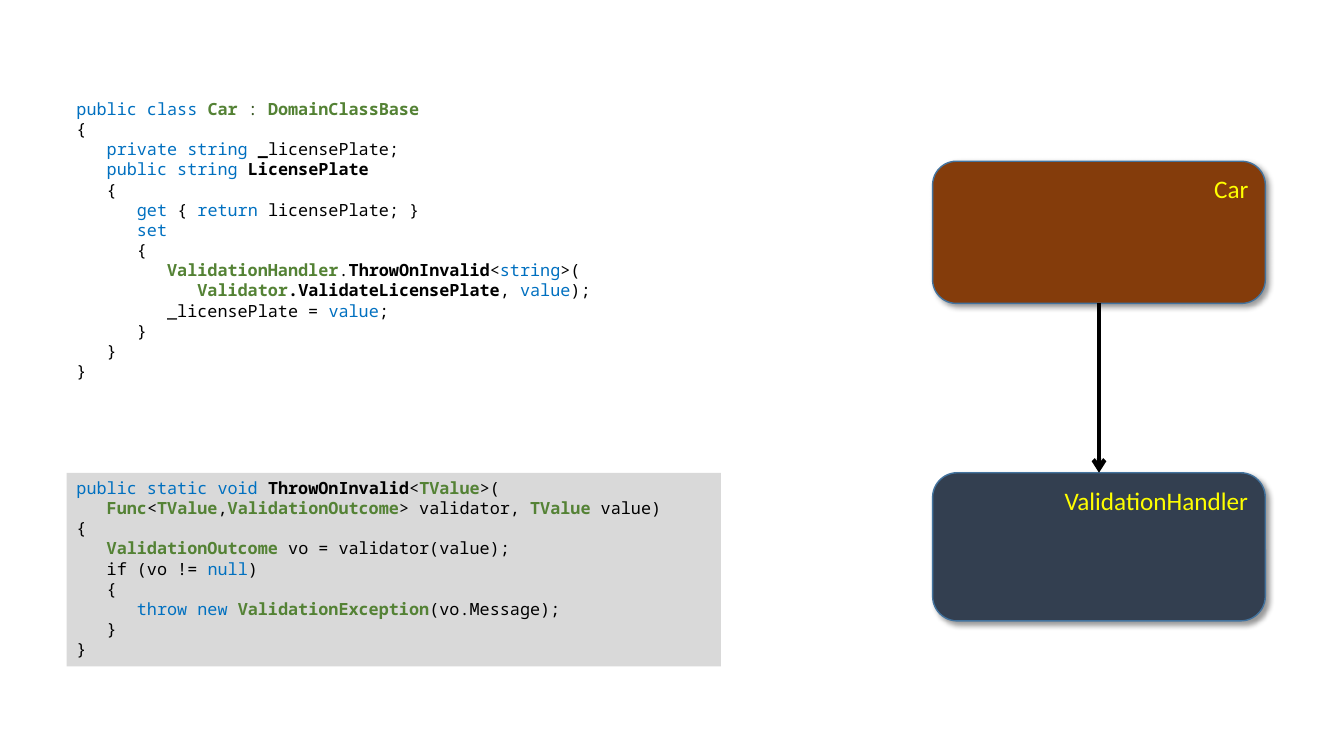
from lxml.etree import SubElement
from pptx import Presentation
from pptx.dml.color import RGBColor
from pptx.enum.shapes import MSO_CONNECTOR, MSO_SHAPE
from pptx.enum.text import MSO_ANCHOR, MSO_AUTO_SIZE, PP_ALIGN
from pptx.oxml.ns import qn
from pptx.util import Pt

PX = 9144  # 100 px to the inch

# Code styles: colour, bold
PLAIN = ("000000", False)
KEYWORD = ("0070C0", False)
TYPE = ("548235", True)
MEMBER = ("000000", True)
COLON = ("385723", False)

CAR_CODE = [
    [("public class ", KEYWORD), ("Car", TYPE), (" : ", COLON), ("DomainClassBase", TYPE)],
    [("{", PLAIN)],
    [("   private string ", KEYWORD), ("_", MEMBER), ("licensePlate;", PLAIN)],
    [("   public string ", KEYWORD), ("LicensePlate", MEMBER)],
    [("   {", PLAIN)],
    [("      get", KEYWORD), (" { ", PLAIN), ("return", KEYWORD), (" licensePlate; }", PLAIN)],
    [("      set", KEYWORD)],
    [("      {", PLAIN)],
    [("         ValidationHandler", TYPE), (".", PLAIN), ("ThrowOnInvalid", MEMBER),
     ("<", PLAIN), ("string", KEYWORD), (">(", PLAIN)],
    [("            Validator", TYPE), (".ValidateLicensePlate", MEMBER), (", ", PLAIN),
     ("value", KEYWORD), (");", PLAIN)],
    [("         _licensePlate = ", PLAIN), ("value", KEYWORD), (";", PLAIN)],
    [("      }", PLAIN)],
    [("   }", PLAIN)],
    [("}", PLAIN)],
]

HANDLER_CODE = [
    [("public static void ", KEYWORD), ("ThrowOnInvalid", MEMBER), ("<", PLAIN),
     ("TValue", TYPE), (">(", PLAIN)],
    [("   Func", TYPE), ("<", PLAIN), ("TValue", TYPE), (",", PLAIN),
     ("ValidationOutcome", TYPE), ("> validator, ", PLAIN), ("TValue", TYPE),
     (" value)", PLAIN)],
    [("{", PLAIN)],
    [("   ValidationOutcome ", TYPE), ("vo = validator(value);", PLAIN)],
    [("   if (vo != ", PLAIN), ("null", KEYWORD), (")", PLAIN)],
    [("   {", PLAIN)],
    [("      throw new ", KEYWORD), ("ValidationException", TYPE), ("(vo.Message);", PLAIN)],
    [("   }", PLAIN)],
    [("}", PLAIN)],
]


def rgb(color):
    return RGBColor.from_string(color)


def box(*lengths):
    return [n * PX for n in lengths]


def add_text(p, text, *, font, size, color, bold=False):
    r = p.add_run()
    r.text = text
    r.font.name = font
    r.font.size = Pt(size)
    r.font.bold = bold
    r.font.color.rgb = rgb(color)


def add_code(s, lines, *at, fill=None):
    sp = s.shapes.add_textbox(*box(*at))
    if fill:
        sp.fill.solid()
        sp.fill.fore_color.rgb = rgb(fill)
    tf = sp.text_frame
    tf.word_wrap = True
    tf.auto_size = MSO_AUTO_SIZE.SHAPE_TO_FIT_TEXT
    for i, line in enumerate(lines):
        p = tf.add_paragraph() if i else tf.paragraphs[0]
        for text, (color, bold) in line:
            add_text(p, text, font="Noto Sans Mono", size=12, color=color, bold=bold)


def add_shadow(sp):
    sp.shadow.inherit = False
    effects = sp._element.spPr.find(qn("a:effectLst"))
    shadow = SubElement(effects, qn("a:outerShdw"), blurRad=str(Pt(4)), dist=str(Pt(3)),
                        dir="2700000", algn="tl", rotWithShape="0")
    color = SubElement(shadow, qn("a:srgbClr"), val="000000")
    SubElement(color, qn("a:alpha"), val="40000")


def add_class_box(s, name, fill, *at):
    sp = s.shapes.add_shape(MSO_SHAPE.ROUNDED_RECTANGLE, *box(*at))
    sp.fill.solid()
    sp.fill.fore_color.rgb = rgb(fill)
    sp.line.color.rgb = rgb("43739E")
    sp.line.width = Pt(1)
    add_shadow(sp)
    tf = sp.text_frame
    tf.word_wrap = True
    tf.vertical_anchor = MSO_ANCHOR.TOP
    p = tf.paragraphs[0]
    p.alignment = PP_ALIGN.RIGHT
    add_text(p, name, font="Calibri", size=18, color="FFFF00")
    return sp


def add_arrow(s, upper, lower):
    """Join the bottom of one box to the top of another."""
    line = s.shapes.add_connector(MSO_CONNECTOR.STRAIGHT, 0, 0, 0, 0)
    line.begin_connect(upper, 2)
    line.end_connect(lower, 0)
    line.line.color.rgb = rgb("000000")
    line.line.width = Pt(3)
    SubElement(line.line._get_or_add_ln(), qn("a:tailEnd"), type="arrow")
    SubElement(line._element.spPr, qn("a:effectLst"))


def main():
    prs = Presentation()
    prs.slide_width, prs.slide_height = box(1333, 750)
    s = prs.slides.add_slide(prs.slide_layouts[6])
    add_code(s, CAR_CODE, 66, 93, 612, 293)
    car = add_class_box(s, "Car", "843C0B", 925, 160, 330, 141)
    add_code(s, HANDLER_CODE, 66, 469, 649, 192, fill="D9D9D9")
    handler = add_class_box(s, "ValidationHandler", "333F50", 925, 469, 330, 147)
    add_arrow(s, car, handler)
    prs.save("out.pptx")


if __name__ == "__main__":
    main()
